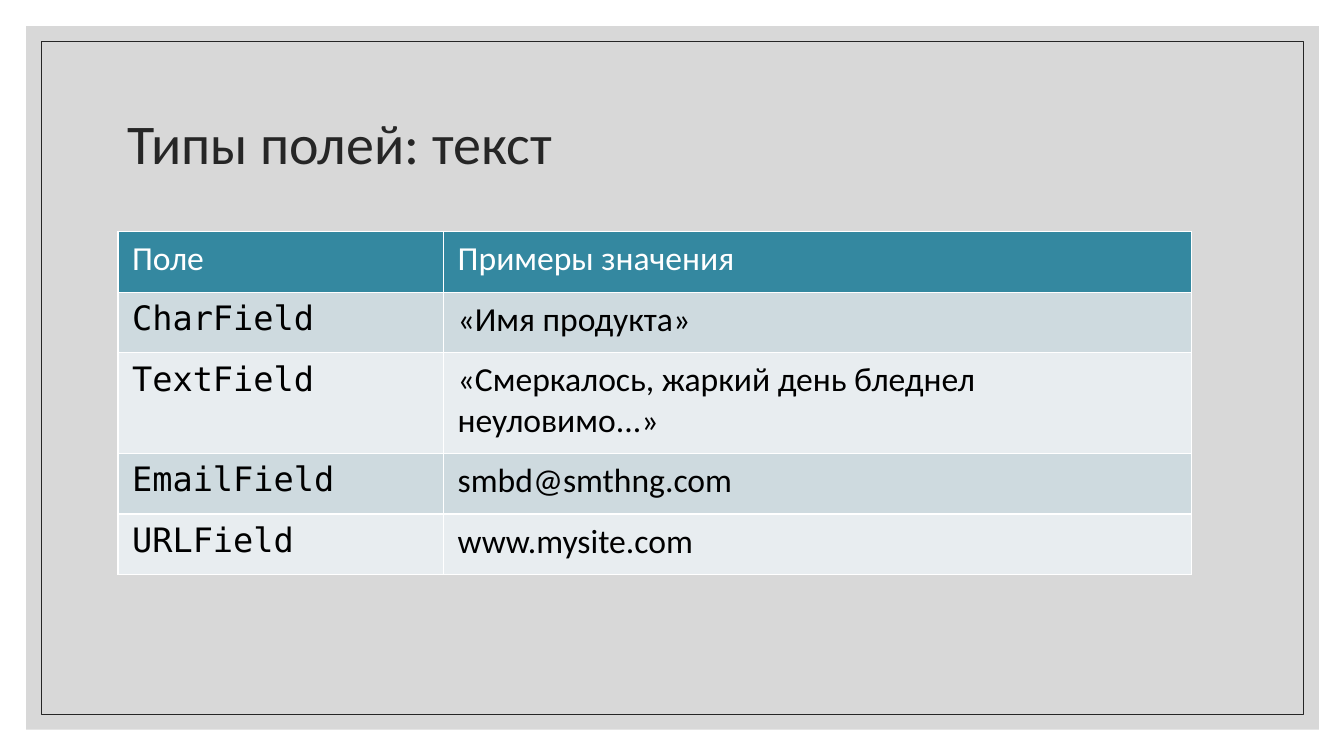
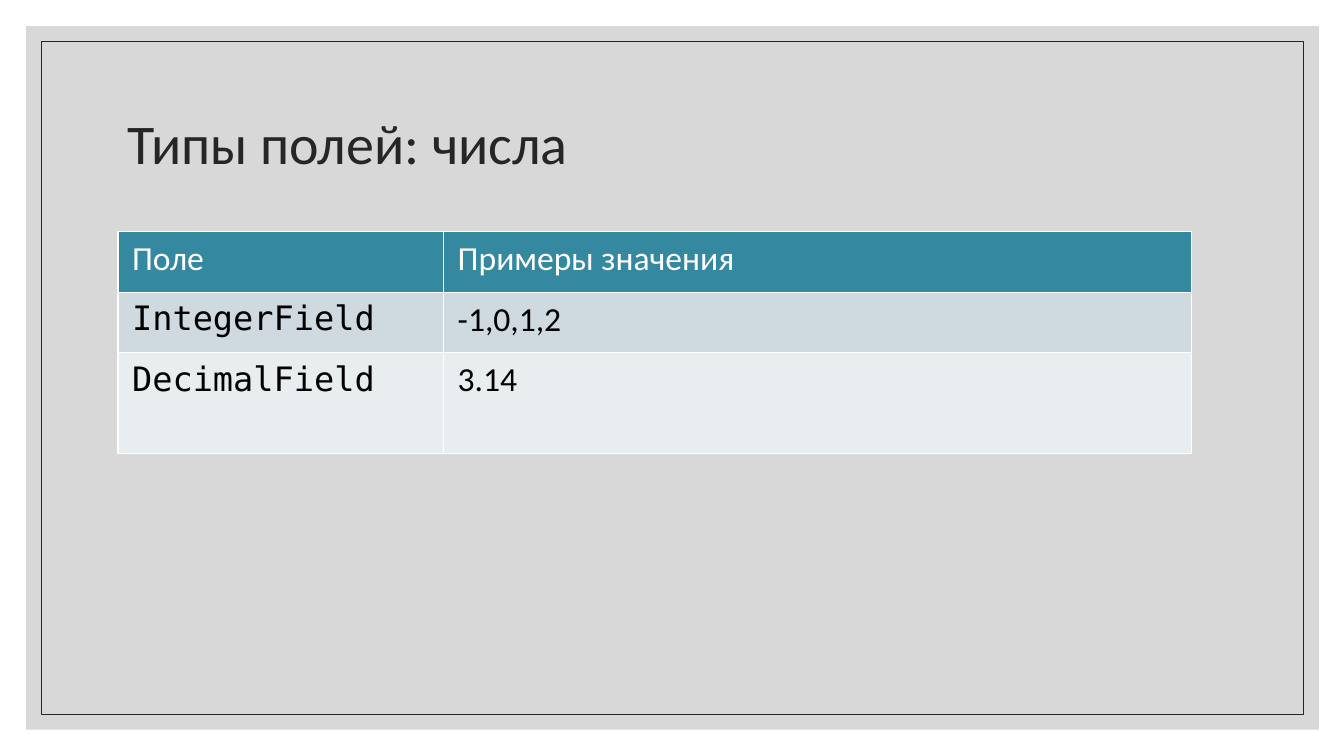
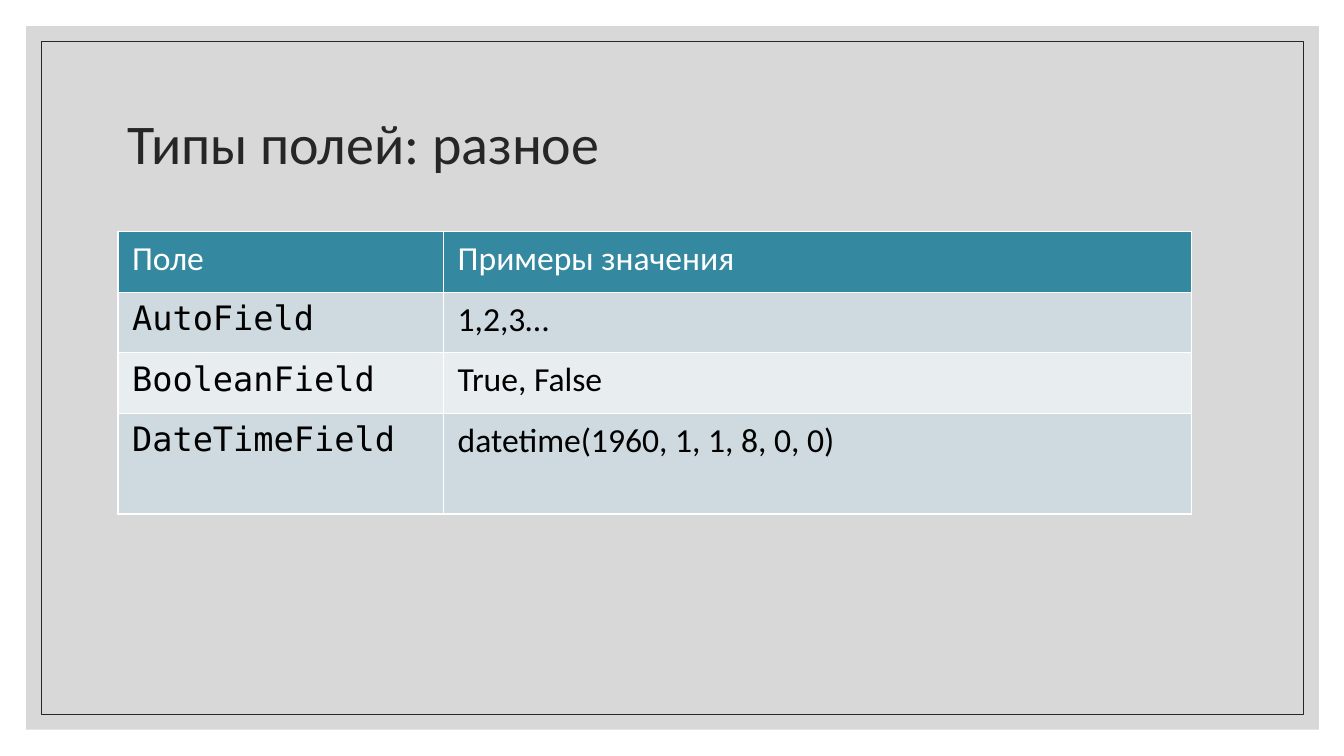
import pptx
import pptx.dml.color
import pptx.enum.shapes
import pptx.enum.text
import pptx.oxml
import pptx.oxml.ns
import pptx.util

Inches = pptx.util.Inches
Pt = pptx.util.Pt

SANS, MONO = "Calibri", "DejaVu Sans Mono"
WHITE, BLACK, INK = "FFFFFF", "000000", "262626"
PANEL, HEAD = "BFBFBF", "3488A0"
BANDS = ("CEDADF", "E8EDF0")
COLS = (3.23, 7.42)
ROW, TALL = 0.6, 1.0
LABELS = ("Поле", "Примеры значения")

# Each page: title, index of its tall row, field rows
PAGES = (
    ("Типы полей: текст", 2, (
        ("CharField", "«Имя продукта»"),
        ("TextField", "«Смеркалось, жаркий день бледнел неуловимо...»"),
        ("EmailField", "smbd@smthng.com"),
        ("URLField", "www.mysite.com"))),
    ("Типы полей: числа", 2, (
        ("IntegerField", "-1,0,1,2"),
        ("DecimalField", "3.14"))),
    ("Типы полей: разное", 3, (
        ("AutoField", "1,2,3…"),
        ("BooleanField", "True, False"),
        ("DateTimeField", "datetime(1960, 1, 1, 8, 0, 0)"))),
)


def rgb(code):
    """Turn a hex string into a colour."""
    return pptx.dml.color.RGBColor.from_string(code)


def paint(fill, code):
    """Give a fill one solid colour."""
    fill.solid()
    fill.fore_color.rgb = rgb(code)


def style(para, face, size, code):
    """Set the font of a paragraph."""
    font = para.font
    font.name, font.size, font.bold = face, Pt(size), False
    font.color.rgb = rgb(code)


def add_rect(slide, left, top, width, height):
    """Add a plain rectangle without a shadow."""
    rect = slide.shapes.add_shape(
        pptx.enum.shapes.MSO_SHAPE.RECTANGLE,
        Inches(left), Inches(top), Inches(width), Inches(height))
    rect.shadow.inherit = False
    return rect


def add_frame(slide):
    """Add the pale panel and the thin frame inside it."""
    panel = add_rect(slide, 0.26, 0.26, 12.82, 6.98)
    paint(panel.fill, PANEL)
    panel.line.fill.background()
    tint = panel.fill._xPr.find(".//" + pptx.oxml.ns.qn("a:srgbClr"))
    tint.append(pptx.oxml.parse_xml(
        f'<a:alpha {pptx.oxml.ns.nsdecls("a")} val="60000"/>'))
    frame = add_rect(slide, 0.41, 0.41, 12.52, 6.68)
    frame.fill.background()
    frame.line.color.rgb = rgb(INK)
    frame.line.width = Pt(0.5)


def add_title(slide, text):
    """Add the slide title."""
    box = slide.shapes.add_textbox(
        Inches(1.17), Inches(0.7), Inches(11), Inches(1.5))
    frame = box.text_frame
    frame.word_wrap = True
    frame.vertical_anchor = pptx.enum.text.MSO_ANCHOR.MIDDLE
    para = frame.paragraphs[0]
    para.text = text
    para.line_spacing = 0.9
    style(para, SANS, 40, INK)


def add_edges(cell):
    """Draw thin white borders round a cell."""
    props = cell._tc.get_or_add_tcPr()
    for side in "LRTB":
        props.append(pptx.oxml.parse_xml(
            f'<a:ln{side} {pptx.oxml.ns.nsdecls("a")} w="{Pt(1)}">'
            f'<a:solidFill><a:srgbClr val="{WHITE}"/></a:solidFill>'
            f'</a:ln{side}>'))


def fill_cell(cell, text, face, ink, back):
    """Write and colour one table cell."""
    cell.margin_left = cell.margin_right = Inches(0.14)
    cell.margin_top = cell.margin_bottom = Inches(0.07)
    add_edges(cell)
    paint(cell.fill, back)
    cell.text = text
    style(cell.text_frame.paragraphs[0], face, 24, ink)


def add_grid(slide, rows, tall):
    """Add the table of fields and sample values."""
    sizes = [TALL if i == tall else ROW for i in range(len(rows) + 1)]
    table = slide.shapes.add_table(
        len(sizes), len(COLS), Inches(1.17), Inches(2.3),
        Inches(sum(COLS)), Inches(sum(sizes))).table
    for col, width in zip(table.columns, COLS):
        col.width = Inches(width)
    for row, height in zip(table.rows, sizes):
        row.height = Inches(height)
    for j, label in enumerate(LABELS):
        fill_cell(table.cell(0, j), label, SANS, WHITE, HEAD)
    for i, row in enumerate(rows):
        for j, (text, face) in enumerate(zip(row, (MONO, SANS))):
            fill_cell(table.cell(i + 1, j), text, face, BLACK, BANDS[i % 2])


def main():
    """Build and save the deck."""
    deck = pptx.Presentation()
    deck.slide_width, deck.slide_height = Inches(13.33), Inches(7.5)
    for title, tall, rows in PAGES:
        slide = deck.slides.add_slide(deck.slide_layouts[6])
        add_frame(slide)
        add_title(slide, title)
        add_grid(slide, rows, tall)
    deck.save("out.pptx")


main()
